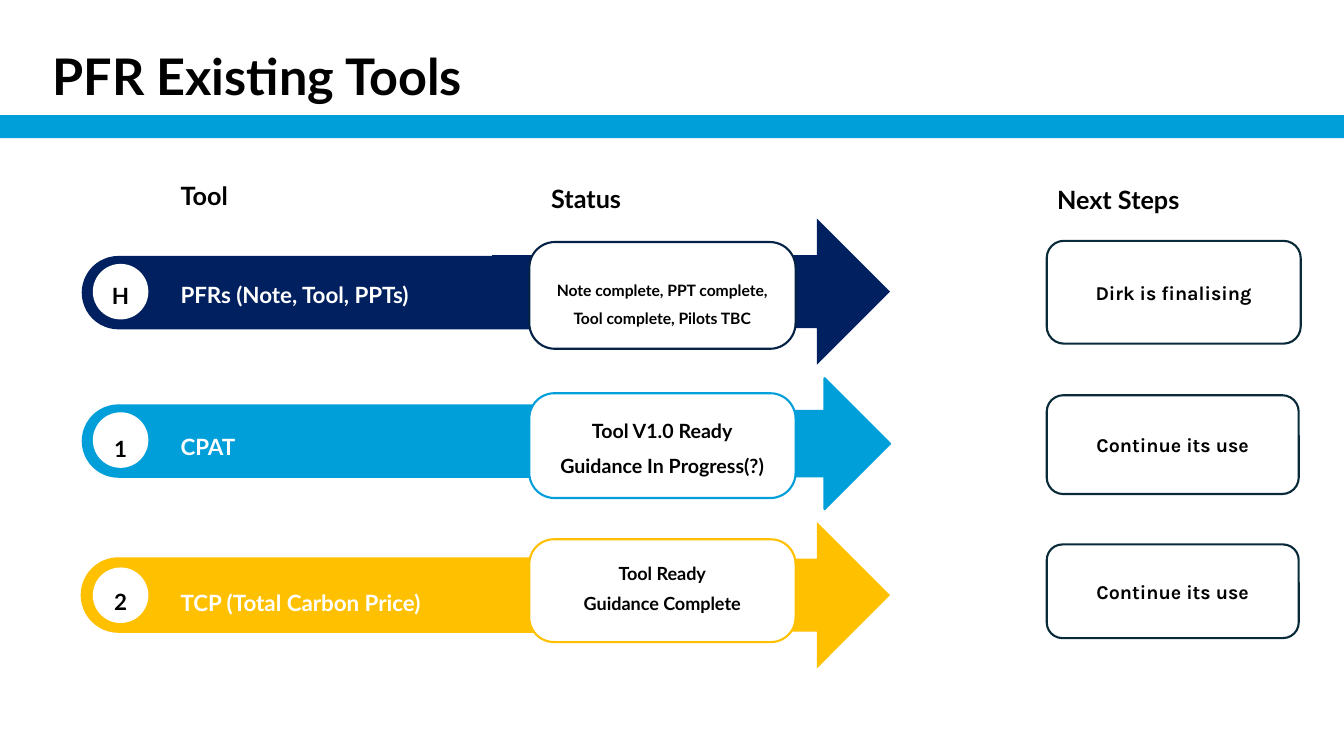
import pptx
import pptx.dml.color
import pptx.enum.shapes
import pptx.enum.text
import pptx.util
from collections import namedtuple

Cm = pptx.util.Cm
Kind = pptx.enum.shapes.MSO_SHAPE
Align = pptx.enum.text.PP_ALIGN
Anchor = pptx.enum.text.MSO_ANCHOR

BLUE, NAVY, YELLOW = "009FDA", "002060", "FFC000"
WHITE, BLACK, INK = "FFFFFF", "000000", "092A39"


def color(value):
    return pptx.dml.color.RGBColor.from_string(value)


class Page:
    heading_font = "Lato"
    step_font = "Karla"
    line_width = 1.5

    def __init__(self, deck):
        self.shapes = deck.slides.add_slide(deck.slide_layouts[6]).shapes

    def shape(self, kind, left, top, width, height, fill=None, line=None, radius=None):
        shape = self.shapes.add_shape(kind, Cm(left), Cm(top), Cm(width), Cm(height))
        shape.shadow.inherit = False
        if fill:
            shape.fill.solid()
            shape.fill.fore_color.rgb = color(fill)
        else:
            shape.fill.background()
        if line:
            shape.line.color.rgb = color(line)
            shape.line.width = pptx.util.Pt(self.line_width)
        else:
            shape.line.fill.background()
        if radius is not None:
            shape.adjustments[0] = radius
        return shape

    def set_text(self, box, lines, size, ink=BLACK, font=heading_font,
                 align=Align.LEFT, anchor=Anchor.TOP, spacing=1.5):
        frame = box.text_frame
        frame.word_wrap = True
        frame.vertical_anchor = anchor
        frame.text = "\n".join(lines)
        for para in frame.paragraphs:
            para.alignment = align
            para.line_spacing = spacing
            para.font.name = font
            para.font.size = pptx.util.Pt(size)
            para.font.bold = True
            para.font.color.rgb = color(ink)

    def text(self, left, top, width, height, lines, size, **style):
        box = self.shapes.add_textbox(Cm(left), Cm(top), Cm(width), Cm(height))
        self.set_text(box, lines, size, **style)

    def step(self, top, width, height, words):
        box = self.shape(Kind.ROUNDED_RECTANGLE, 26.38, top, width, height, line=INK)
        self.set_text(box, [words], 14, font=self.step_font, align=Align.CENTER,
                      anchor=Anchor.MIDDLE, spacing=1.0)


# Each part of a row carries its own top; arrow, card and step also a height.
Row = namedtuple("Row", "fill card_line bar_line arrow_line bar arrow card badge "
                        "label label_top tool tool_top "
                        "status status_top status_size status_spacing step")

ROWS = [
    Row(BLUE, BLUE, None, BLUE, 10.19, (9.53, 3.3), (9.91, 2.64), 10.39,
        "1", 10.49, "CPAT", 10.46,
        ["Tool V1.0 Ready", "Guidance In Progress(?)"], 9.86, 14, 1.5,
        (9.96, 6.35, 2.49, "Continue its use")),
    Row(YELLOW, YELLOW, YELLOW, None, 14.07, (13.16, 3.68), (13.59, 2.59), 14.3,
        "2", 14.35, "TCP (Total Carbon Price)", 14.38,
        ["Tool Ready", "Guidance Complete"], 13.42, 12.9, 1.4,
        (13.72, 6.35, 2.36, "Continue its use")),
    Row(NAVY, "042245", None, None, 6.45, (5.51, 3.68), (6.1, 2.69), 6.65,
        "H", 6.65, "PFRs (Note, Tool, PPTs)", 6.63,
        ["Note complete, PPT complete, Tool complete, Pilots TBC"], 6.25, 11.2, 1.5,
        (6.07, 6.4, 2.59, "Dirk is finalising")),
]


def draw_row(page, row):
    page.shape(Kind.ROUNDED_RECTANGLE, 2.06, row.bar, 15.34, 1.85,
               row.fill, row.bar_line, radius=0.5)
    page.shape(Kind.RIGHT_ARROW, 12.4, row.arrow[0], 10.03, row.arrow[1],
               row.fill, row.arrow_line)
    page.shape(Kind.OVAL, 2.34, row.badge, 1.4, 1.4, WHITE)
    page.shape(Kind.ROUNDED_RECTANGLE, 13.34, row.card[0], 6.71, row.card[1],
               WHITE, row.card_line, radius=0.24)
    page.text(2.34, row.label_top, 1.4, 1.4, [row.label], 16, align=Align.CENTER)
    page.text(4.3, row.tool_top, 8.69, 1.32, [row.tool], 16, ink=WHITE)
    page.text(13.49, row.status_top, 6.4, 2.59, row.status, row.status_size,
              align=Align.CENTER, anchor=Anchor.MIDDLE, spacing=row.status_spacing)
    page.step(*row.step)


def main():
    deck = pptx.Presentation()
    deck.slide_width, deck.slide_height = Cm(33.87), Cm(19.05)
    page = Page(deck)
    page.shape(Kind.RECTANGLE, 0, 2.9, 33.87, 0.58, BLUE)
    page.text(1.07, 1.32, 31.7, 1.6, ["PFR Existing Tools"], 36, spacing=0.8)
    for left, top, heading in [(4.3, 4.04, "Tool"), (13.64, 4.11, "Status"),
                               (26.39, 4.14, "Next Steps")]:
        page.text(left, top, 5.11, 1.4, [heading], 18)
    for row in ROWS:
        draw_row(page, row)
    deck.save("out.pptx")


if __name__ == "__main__":
    main()
